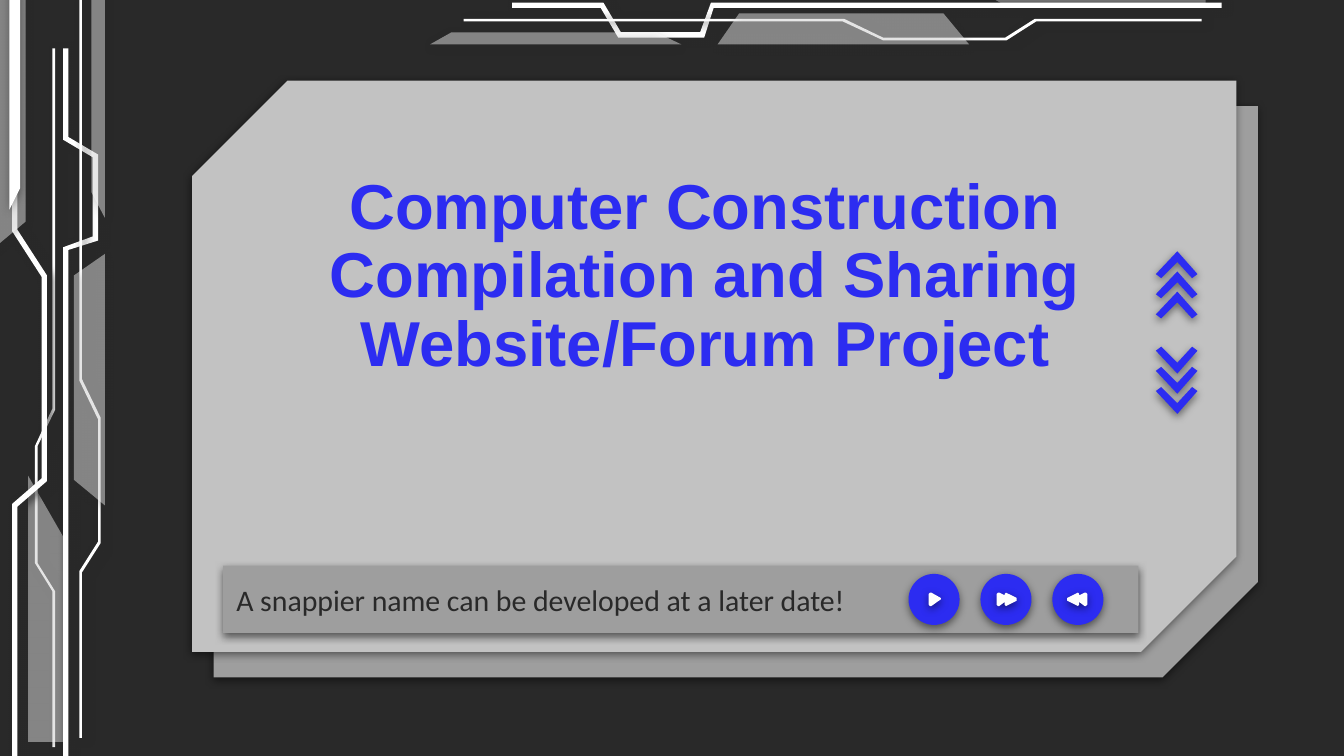
from pptx import Presentation
from pptx.dml.color import RGBColor
from pptx.enum.shapes import MSO_SHAPE as SHAPE
from pptx.enum.text import MSO_ANCHOR as ANCHOR, PP_ALIGN as ALIGN
from pptx.oxml.ns import qn
from pptx.util import Inches, Pt
from lxml.etree import SubElement

DARK, GRAY, LIGHT, BLUE, WHITE = "292929", "9E9E9E", "C2C2C2", "2C2CF1", "FFFFFF"

# Shadows: colour, opacity %, blur pt, distance pt, angle
SOFT = ("000000", 50, 4.5, 1.5, 90)
PANEL = (DARK, 50, 4.5, 1.5, 90)
TRACE = (DARK, 92, 4.5, 2.2, 23)
BAR = (DARK, 71, 4.5, 1.5, 90)

# Circuit parts, back to front: kind and outline
LEFT_PARTS = [
    ("trace", [(.26, 3.32), (.39, 3.04), (.39, .36), (.41, .36), (.41, 3.05), (.28, 3.32),
               (.28, 4.19), (.41, 4.4), (.41, 5.56), (.39, 5.56), (.39, 4.4), (.26, 4.19)]),
    ("glass", [(.21, 3.54), (.48, 4.01), (.48, 5.52), (.21, 5.52)]),
    ("trace", [(.09, .07), (.13, .07), (.13, 1.71), (.35, 2.05), (.35, 3.58), (.13, 3.77),
               (.13, 5.71), (.09, 5.71), (.09, 3.75), (.31, 3.56), (.31, 2.06), (.09, 1.72)]),
    ("trace", [(.47, .36), (.51, .36), (.51, 1.02), (.73, 1.15), (.73, 1.79), (.51, 1.86),
               (.51, 5.64), (.47, 5.64), (.47, 1.84), (.69, 1.76), (.69, 1.17), (.47, 1.04)]),
    ("trace", [(.59, 0), (.61, 0), (.61, 2.82), (.75, 3.11), (.75, 4.04), (.61, 4.26),
               (.61, 5.49), (.59, 5.49), (.59, 4.25), (.73, 4.03), (.73, 3.12), (.59, 2.83)]),
    ("glass", [(-.05, -.07), (.19, -.07), (.19, 1.65), (-.05, 1.85)]),
    ("glass", [(.55, 2.05), (.78, 1.89), (.78, 3.76), (.55, 3.57)]),
    ("glass", [(.68, -.09), (.78, -.25), (.78, 1.62), (.68, 1.43)]),
    ("solid", [(.07, -.21), (.15, -.04), (.15, 1.4), (.07, 1.56)]),
]
TOP_PARTS = [
    ("glass", [(6.99, -.24), (7.46, .03), (8.97, .03), (8.97, -.24)]),
    ("trace", [(3.81, .02), (3.81, .06), (4.47, .06), (4.6, .28), (5.24, .28), (5.31, .06),
               (9.09, .06), (9.09, .02), (5.29, .02), (5.21, .24), (4.62, .24), (4.49, .02)]),
    ("trace", [(3.45, .14), (3.45, .16), (6.27, .16), (6.57, .3), (7.49, .3), (7.71, .16),
               (8.94, .16), (8.94, .14), (7.7, .14), (7.48, .28), (6.57, .28), (6.28, .14)]),
    ("glass", [(5.5, .1), (5.34, .33), (7.21, .33), (7.02, .1)]),
    ("glass", [(3.36, .24), (3.2, .33), (5.07, .33), (4.88, .24)]),
]
PART_STYLES = {"trace": (TRACE, 100), "glass": (PANEL, 43), "solid": (PANEL, 100)}

# Icon outlines from their own top left corner
CHEVRON = [(0, .17), (.16, 0), (.31, .17), (.27, .2), (.16, .08), (.04, .2)]
PLAY = [(0, .01), (.01, 0), (.02, 0), (.09, .04), (.09, .05), (.02, .1), (.01, .1), (0, .09)]
FORWARD = [(0, .01), (.01, 0), (.02, 0), (.06, .02), (.06, .01), (.07, 0), (.15, .04),
           (.15, .06), (.07, .1), (.06, .09), (.06, .07), (.02, .1), (.01, .1), (0, .09)]
REWIND = [(.15 - x, y) for x, y in FORWARD]


def rgb(color):
    return RGBColor.from_string(color)


def paint(sp, fill, shadow, opacity=100):
    """Fill without outline, with an outer shadow."""
    sp.fill.solid()
    sp.fill.fore_color.rgb = rgb(fill)
    sp.line.fill.background()
    sp.shadow.inherit = False
    props = sp._element.spPr
    if opacity < 100:
        clr = props.find(qn("a:solidFill"))[0]
        SubElement(clr, qn("a:alpha"), val=str(opacity * 1000))
    color, alpha, blur, dist, angle = shadow
    shdw = SubElement(props.find(qn("a:effectLst")), qn("a:outerShdw"),
                      blurRad=str(Pt(blur)), dist=str(Pt(dist)),
                      dir=str(angle * 60000), algn="bl", rotWithShape="0")
    clr = SubElement(shdw, qn("a:srgbClr"), val=color)
    SubElement(clr, qn("a:alpha"), val=str(alpha * 1000))


def add_shape(shapes, kind, box, fill, shadow):
    sp = shapes.add_shape(kind, *map(Inches, box))
    paint(sp, fill, shadow)
    return sp


def add_outline(shapes, contours, fill, shadow, opacity=100):
    builder = None
    for contour in contours:
        first, *rest = [(Inches(x), Inches(y)) for x, y in contour]
        if builder is None:
            builder = shapes.build_freeform(*first, scale=1.0)
        else:
            builder.move_to(*first)
        builder.add_line_segments(rest, close=True)
    paint(builder.convert_to_shape(), fill, shadow, opacity)


def moved(outline, left, top):
    return [(left + x, top + y) for x, y in outline]


def set_text(sp, lines, frame, para, font, color):
    tf = sp.text_frame
    for key, value in frame.items():
        setattr(tf, key, value)
    for i, line in enumerate(lines):
        p = tf.paragraphs[0] if i == 0 else tf.add_paragraph()
        for key, value in para.items():
            setattr(p, key, value)
        r = p.add_run()
        r.text = line
        for key, value in font.items():
            setattr(r.font, key, value)
        r.font.color.rgb = rgb(color)


def add_backdrop(shapes):
    for left, top, fill in ((3.35, -.97, GRAY), (3.19, -1.16, LIGHT)):
        sp = add_shape(shapes, SHAPE.SNIP_2_DIAG_RECTANGLE, (left, top, 4.25, 7.77), fill, SOFT)
        sp.rotation = 270
        sp.adjustments[0], sp.adjustments[1] = 0, .167
    for kind, outline in LEFT_PARTS + TOP_PARTS:
        shadow, opacity = PART_STYLES[kind]
        add_outline(shapes, [outline], WHITE, shadow, opacity)


def add_chevrons(shapes):
    down = [(x, .2 - y) for x, y in CHEVRON]
    for outline, top in ((CHEVRON, 1.87), (down, 2.58)):
        add_outline(shapes, [moved(outline, 8.6, top + .15 * i) for i in range(3)], BLUE, SOFT)


def add_buttons(shapes):
    icons = ((PLAY, .15), (FORWARD, .12), (REWIND, .11))
    for i, (icon, inset) in enumerate(icons):
        left = 6.76 + .535 * i
        add_shape(shapes, SHAPE.OVAL, (left, 4.27, .38, .38), BLUE, SOFT)
        add_outline(shapes, [moved(icon, left + inset, 4.41)], WHITE, SOFT)


def main():
    prs = Presentation()
    prs.slide_width = Inches(10)
    prs.slide_height = prs.slide_width * 9 // 16
    s = prs.slides.add_slide(prs.slide_layouts[6])
    s.background.fill.solid()
    s.background.fill.fore_color.rgb = rgb(DARK)

    add_backdrop(s.shapes)
    add_chevrons(s.shapes)

    # Title and subtitle
    edge = Inches(.1)
    frame = dict(word_wrap=True, margin_left=edge, margin_right=edge,
                 margin_top=edge, margin_bottom=edge)
    title = s.shapes.add_textbox(*map(Inches, (1.7, 1.2, 6.99, 3.34)))
    set_text(title,
             ["Computer Construction", "Compilation and Sharing", "Website/Forum Project"],
             {**frame, "margin_left": Inches(.2), "vertical_anchor": ANCHOR.TOP},
             dict(alignment=ALIGN.CENTER, line_spacing=.9),
             dict(name="Arial", size=Pt(34), bold=True), BLUE)
    bar = add_shape(s.shapes, SHAPE.RECTANGLE, (1.66, 4.21, 6.81, .5), GRAY, BAR)
    set_text(bar, ["A snappier name can be developed at a later date!"],
             {**frame, "vertical_anchor": ANCHOR.MIDDLE}, dict(alignment=ALIGN.LEFT),
             dict(name="Calibri", size=Pt(16)), DARK)

    add_buttons(s.shapes)
    prs.save("out.pptx")


main()
